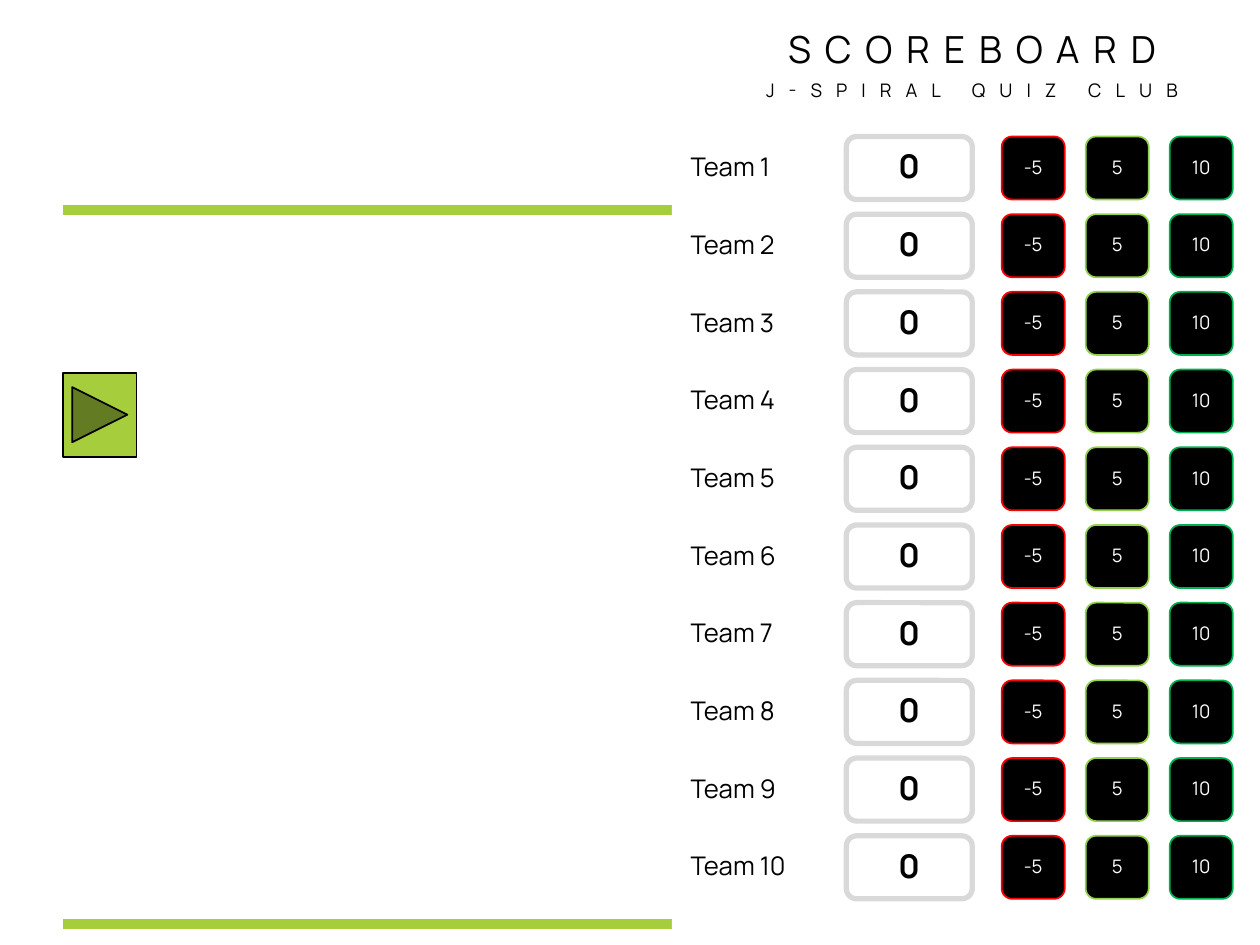
import dataclasses
import typing

import lxml.etree
import pptx
import pptx.dml.color
import pptx.enum.shapes
import pptx.enum.text
import pptx.oxml.ns
import pptx.util

RGBColor = pptx.dml.color.RGBColor
Shape = pptx.enum.shapes.MSO_SHAPE
Align = pptx.enum.text.PP_ALIGN
Anchor = pptx.enum.text.MSO_ANCHOR

BLACK = RGBColor(0x00, 0x00, 0x00)
WHITE = RGBColor(0xFF, 0xFF, 0xFF)
GRAY = RGBColor(0xD9, 0xD9, 0xD9)
RED = RGBColor(0xFF, 0x00, 0x00)
LIGHT_GREEN = RGBColor(0x92, 0xD0, 0x50)
GREEN = RGBColor(0x00, 0xB0, 0x50)
LIME = RGBColor(0xA6, 0xCD, 0x3B)

FONT = "Manrope"
LINE_SPACING = 0.93

# The slide is a grid of 60 columns by 45 rows of square cells.
CELL = 0.125
COLUMNS, ROWS = 60, 45

TEAM_COUNT = 10
FIRST_TEAM_ROW = 6.5
TEAM_PITCH = 3.7
BUTTON_SIZE = 3


@dataclasses.dataclass(frozen=True)
class Area:
    """A rectangle in grid columns and rows."""
    column: float
    row: float
    width: float
    height: float


@dataclasses.dataclass(frozen=True)
class TextStyle:
    size: float
    color: RGBColor
    bold: bool = False
    alignment: typing.Any = Align.CENTER


@dataclasses.dataclass(frozen=True)
class Box:
    """A column of the scoreboard, repeated for every team."""
    text: str
    column: float
    width: float
    fill: RGBColor
    line: RGBColor
    line_width: float
    style: TextStyle


TEAM_STYLE = TextStyle(11, BLACK, alignment=Align.LEFT)
SCORE_STYLE = TextStyle(14, BLACK, bold=True)
BUTTON_STYLE = TextStyle(8, WHITE)

BOXES = [Box("0", 40.3, 6, WHITE, GRAY, 2.25, SCORE_STYLE)] + [
    Box(points, 47.7 + 4 * index, BUTTON_SIZE, BLACK, line, 0.75, BUTTON_STYLE)
    for index, (points, line) in enumerate(
        [("-5", RED), ("5", LIGHT_GREEN), ("10", GREEN)])
]


def cells(count: float) -> int:
    return pptx.util.Inches(count * CELL)


def place(area: Area) -> tuple[int, ...]:
    return tuple(cells(count) for count in dataclasses.astuple(area))


def set_attributes(target: typing.Any, values: dict[str, typing.Any]) -> None:
    for name, value in values.items():
        setattr(target, name, value)


def format_frame(frame: typing.Any, **values: typing.Any) -> None:
    """Set a middle-anchored frame without margins, changed by the values."""
    set_attributes(frame, {
        "auto_size": pptx.enum.text.MSO_AUTO_SIZE.NONE,
        "word_wrap": True, "vertical_anchor": Anchor.MIDDLE,
        "margin_left": 0, "margin_right": 0,
        "margin_top": 0, "margin_bottom": 0, **values})


def write(paragraph: typing.Any, text: str, style: TextStyle) -> typing.Any:
    set_attributes(paragraph, {
        "alignment": style.alignment, "line_spacing": LINE_SPACING,
        "space_before": pptx.util.Pt(0)})
    run = paragraph.add_run()
    run.text = text
    set_attributes(run.font, {
        "name": FONT, "size": pptx.util.Pt(style.size), "bold": style.bold})
    run.font.color.rgb = style.color
    return run


def add_filled_shape(slide: typing.Any, kind: typing.Any, area: Area,
                     fill: RGBColor, line: typing.Optional[RGBColor] = None,
                     line_width: float = 0.75) -> typing.Any:
    shape = slide.shapes.add_shape(kind, *place(area))
    shape.shadow.inherit = False
    shape.fill.solid()
    shape.fill.fore_color.rgb = fill
    if line is None:
        shape.line.fill.background()
    else:
        shape.line.color.rgb = line
        shape.line.width = pptx.util.Pt(line_width)
    return shape


def add_rule(slide: typing.Any, row: float) -> None:
    connector = slide.shapes.add_connector(
        pptx.enum.shapes.MSO_CONNECTOR.STRAIGHT,
        cells(3), cells(row), cells(57), cells(row))
    connector.line.color.rgb = LIME
    connector.line.width = pptx.util.Pt(4)
    lxml.etree.SubElement(connector.element.spPr,
                          pptx.oxml.ns.qn("a:effectLst"))


def add_team(slide: typing.Any, index: int) -> None:
    row = FIRST_TEAM_ROW + index * TEAM_PITCH
    label = slide.shapes.add_textbox(*place(Area(32.25, row + 0.5, 5.4, 2)))
    format_frame(label.text_frame, word_wrap=False,
                 margin_left=pptx.util.Inches(0.08))
    write(label.text_frame.paragraphs[0], f"Team {index + 1}", TEAM_STYLE)
    for box in BOXES:
        shape = add_filled_shape(
            slide, Shape.ROUNDED_RECTANGLE,
            Area(box.column, row, box.width, BUTTON_SIZE),
            box.fill, box.line, box.line_width)
        format_frame(shape.text_frame)
        write(shape.text_frame.paragraphs[0], box.text, box.style)


def format_title(slide: typing.Any) -> None:
    """Write the heading and bring it in front of the white panel."""
    title = slide.shapes.title
    set_attributes(title, dict(zip(
        ("left", "top", "width", "height"), place(Area(32.3, 1.2, 28, 4)))))
    frame = title.text_frame
    format_frame(frame, word_wrap=False, vertical_anchor=Anchor.TOP,
                 margin_top=pptx.util.Inches(0.03))
    heading = write(frame.paragraphs[0], "SCOREBOARD", TextStyle(16, BLACK))
    club_line = frame.add_paragraph()
    club = write(club_line, "J-SPIRAL QUIZ CLUB", TextStyle(8, BLACK))
    club_line.space_before = pptx.util.Pt(4)
    for run in (heading, club):
        run.font._element.set("spc", "600")
    title.element.getparent().append(title.element)


def main() -> None:
    presentation = pptx.Presentation()
    presentation.slide_width = cells(COLUMNS)
    presentation.slide_height = cells(ROWS)
    slide = presentation.slides.add_slide(presentation.slide_layouts[5])

    for row in (44, 10):
        add_rule(slide, row)
    add_filled_shape(slide, Shape.ACTION_BUTTON_FORWARD_OR_NEXT,
                     Area(3, 17.75, 3.5, 4), LIME, BLACK)
    add_filled_shape(slide, Shape.RECTANGLE, Area(32, 0, 28, ROWS), WHITE)
    for index in range(TEAM_COUNT):
        add_team(slide, index)
    format_title(slide)
    presentation.save("out.pptx")


if __name__ == "__main__":
    main()
